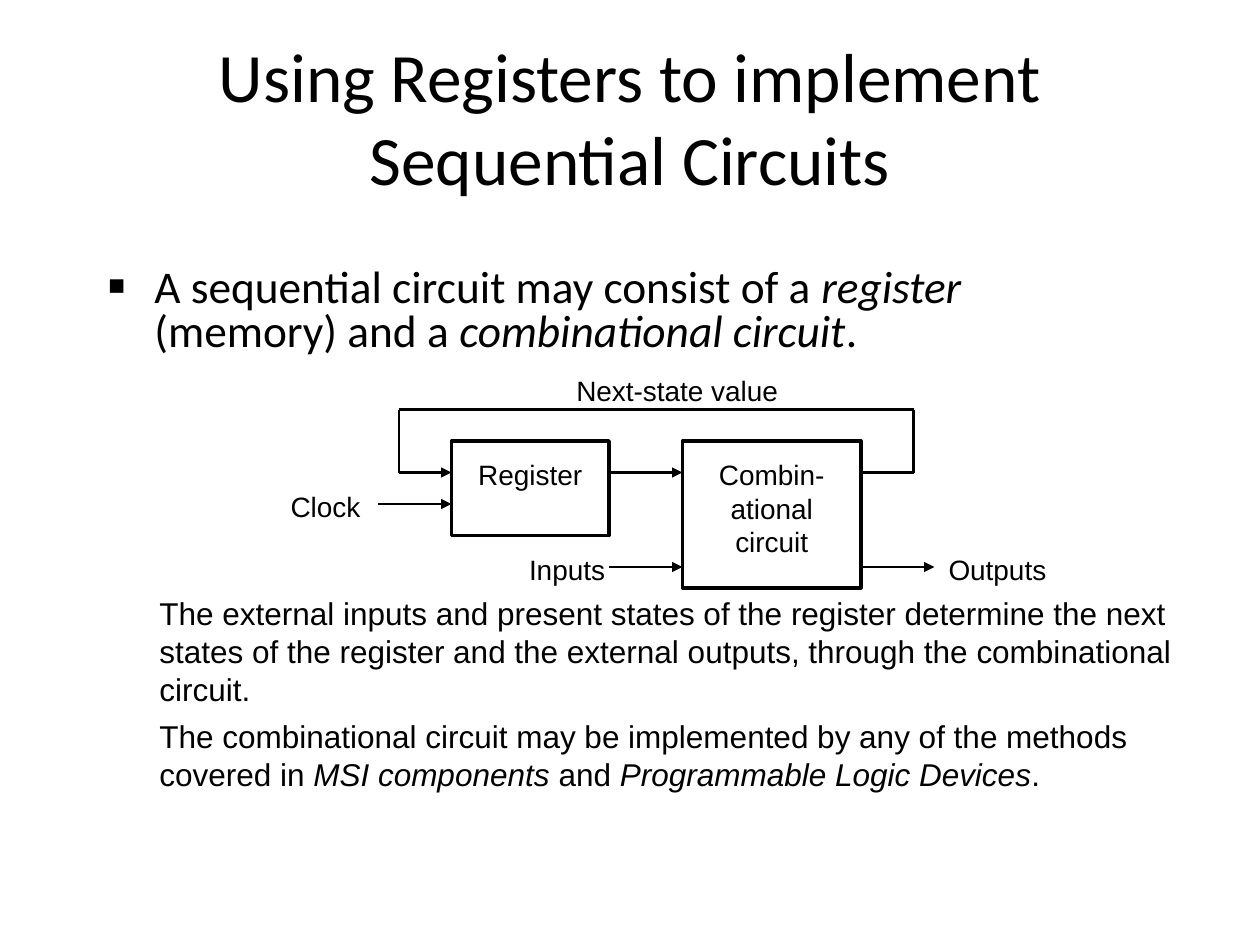
from lxml import etree
from pptx import Presentation
from pptx.dml.color import RGBColor
from pptx.enum import shapes, text
from pptx.oxml import ns
from pptx.util import Pt

BLACK = "000000"
TITLE = "Using Registers to implement Sequential Circuits"
BULLET = [("A sequential circuit may consist of a ", False), ("register", True),
          (" (memory) and a ", False), ("combinational circuit", True), (".", False)]
NOTES = [
    [("The external inputs and present states of the register determine the next states "
      "of the register and the external outputs, through the combinational circuit.", False)],
    [("The combinational circuit may be implemented by any of the methods covered in ", False),
     ("MSI components", True), (" and ", False),
     ("Programmable Logic Devices", True), (".", False)],
]

REG_L, REG_R, COMB_L, COMB_R = 258, 348, 390, 492
BLOCK_TOP, REG_H, COMB_H = 252, 54, 84
LOOP_L, LOOP_R, LOOP_Y = 228, 522, 234
STATE_Y, CLOCK_Y, IO_Y = 270, 288, 324

BLOCKS = [(REG_L, BLOCK_TOP, REG_R - REG_L, REG_H),
          (COMB_L, BLOCK_TOP, COMB_R - COMB_L, COMB_H)]
LABELS = [
    ("Register", 264, 258, 78, 27),
    ("Combin-ational circuit", 402, 258, 78, 65),
    ("Clock", 156, CLOCK_Y - 12, 60, 27),
    ("Inputs", 294, IO_Y - 12, 60, 27),
    ("Outputs", 534, IO_Y - 12, 72, 27),
    ("Next-state value", 318, LOOP_Y - 24, 138, 27),
]
ARROWS = [
    (REG_R, STATE_Y, COMB_L, STATE_Y),
    (REG_R, IO_Y, COMB_L, IO_Y),
    (LOOP_L, STATE_Y, REG_L, STATE_Y),
    (216, CLOCK_Y, REG_L, CLOCK_Y),
    (COMB_R, IO_Y, 534, IO_Y),
]
LINES = [
    (COMB_R, STATE_Y, LOOP_R, STATE_Y),
    (LOOP_L, LOOP_Y, LOOP_R, LOOP_Y),
    (LOOP_R, STATE_Y, LOOP_R, LOOP_Y),
    (LOOP_L, STATE_Y, LOOP_L, LOOP_Y),
]


def color(hex_text):
    return RGBColor.from_string(hex_text)


def place(sp, x, y, w, h):
    sp.left, sp.top, sp.width, sp.height = Pt(x), Pt(y), Pt(w), Pt(h)


def write(p, runs, size, font="Arial", align=None, before=0, spacing=None):
    p.alignment = align
    p.space_before = Pt(before)
    p.line_spacing = spacing
    for words, italic in runs:
        r = p.add_run()
        r.text = words
        r.font.size, r.font.name, r.font.italic = Pt(size), font, italic
        r.font.color.rgb = color(BLACK)


def add_box(s, x, y, w, h):
    tf = s.shapes.add_textbox(Pt(x), Pt(y), Pt(w), Pt(h)).text_frame
    tf.word_wrap = True
    return tf


def add_line(s, x1, y1, x2, y2, arrow=False):
    line = s.shapes.add_connector(shapes.MSO_CONNECTOR.STRAIGHT,
                                  Pt(x1), Pt(y1), Pt(x2), Pt(y2))
    line.line.color.rgb = color(BLACK)
    line.line.width = Pt(1.5)
    if arrow:
        etree.SubElement(line.line._get_or_add_ln(), ns.qn("a:tailEnd"), type="triangle")
    etree.SubElement(line._element.spPr, ns.qn("a:effectLst"))


def add_bullet(p, char, indent, percent):
    pPr = p._p.get_or_add_pPr()
    pPr.set("marL", str(Pt(indent)))
    pPr.set("indent", str(Pt(-indent)))
    etree.SubElement(pPr, ns.qn("a:buSzPct"), val=str(percent * 1000))
    etree.SubElement(pPr, ns.qn("a:buFont"), typeface="Arial")
    etree.SubElement(pPr, ns.qn("a:buChar"), char=char)


prs = Presentation()
prs.slide_width, prs.slide_height = Pt(720), Pt(540)
s = prs.slides.add_slide(prs.slide_layouts[1])
center = text.PP_ALIGN.CENTER

title, body = s.placeholders
place(title, 36, 21.6, 648, 90)
title.text_frame.vertical_anchor = text.MSO_ANCHOR.MIDDLE
title.text_frame.auto_size = text.MSO_AUTO_SIZE.NONE
write(title.text_frame.paragraphs[0], [(TITLE, False)], 39.6, "Calibri", center)

place(body, 54, 150, 600, 60)
body.text_frame.auto_size = text.MSO_AUTO_SIZE.NONE
p = body.text_frame.paragraphs[0]
add_bullet(p, "▪", 27, 120)
write(p, BULLET, 25.9, "Calibri", spacing=0.8)

for block in BLOCKS:
    sp = s.shapes.add_shape(shapes.MSO_SHAPE.RECTANGLE, *map(Pt, block))
    sp.shadow.inherit = False
    sp.fill.background()
    sp.line.color.rgb = color(BLACK)
    sp.line.width = Pt(2)

for ends in ARROWS:
    add_line(s, *ends, arrow=True)
for ends in LINES:
    add_line(s, *ends)

for words, *frame in LABELS:
    write(add_box(s, *frame).paragraphs[0], [(words, False)], 16, align=center)

tf = add_box(s, 84, 336, 606, 186)
for i, runs in enumerate(NOTES):
    p = tf.add_paragraph() if i else tf.paragraphs[0]
    write(p, runs, 18, before=5.4 if i else 0)

prs.save("out.pptx")
